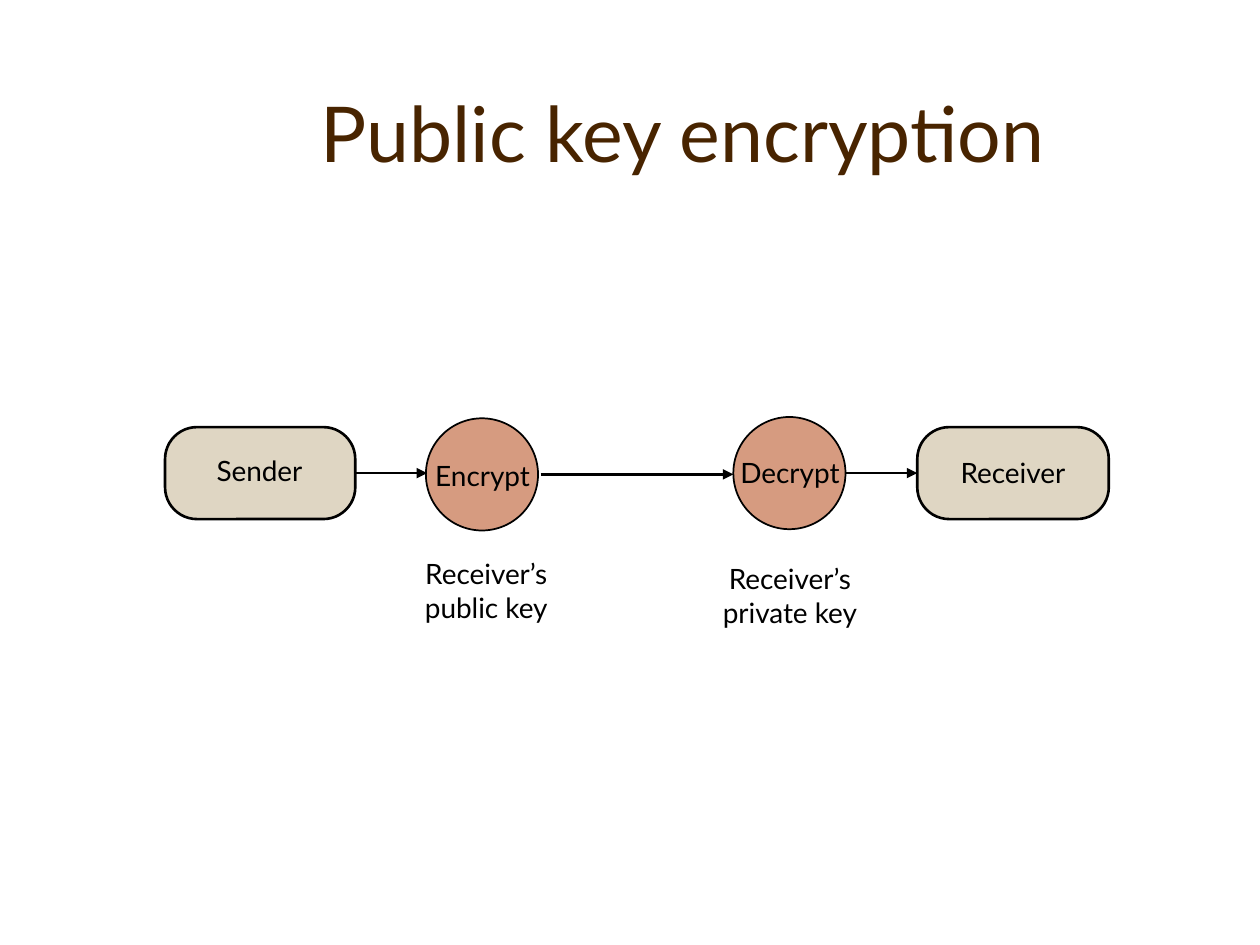
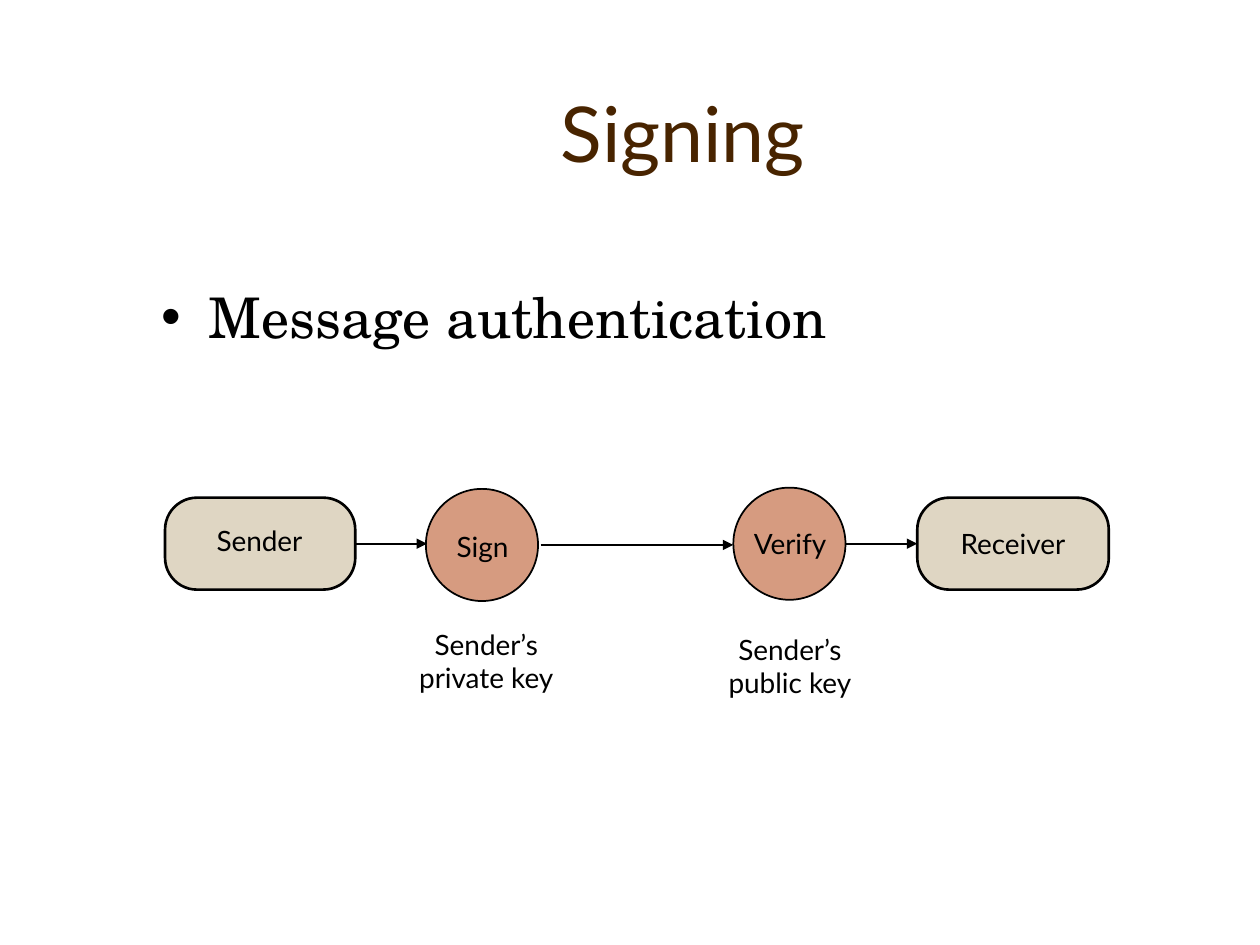
from pptx import Presentation
from pptx.dml.color import RGBColor
from pptx.enum.shapes import MSO_CONNECTOR as Link, MSO_SHAPE as Form
from pptx.enum.text import MSO_ANCHOR as Anchor, MSO_AUTO_SIZE as Fit, PP_ALIGN as Align
from pptx.oxml.ns import qn
from pptx.util import Inches, Pt
from lxml.etree import SubElement as Sub

BROWN, SAND, CLAY, BLACK = "482400", "DFD6C3", "D69B80", "000000"
SANS, SERIF = "Lato", "TeX Gyre Schola"


def color(code):
    return RGBColor.from_string(code)


def write(frame, text, size=16, font=SANS, ink=BLACK, align=Align.CENTER):
    """Fill a text frame, one paragraph per line of text."""
    for n, line in enumerate(text.split("\n")):
        para = frame.add_paragraph() if n else frame.paragraphs[0]
        para.alignment = align
        run = para.add_run()
        run.text = line
        run.font.size = Pt(size)
        run.font.name = font
        run.font.color.rgb = color(ink)


class Deck:
    def __init__(self):
        self.show = Presentation()
        self.show.slide_width, self.show.slide_height = Inches(10), Inches(7.5)
        self.slide = None

    def page(self, title):
        self.slide = self.show.slides.add_slide(self.show.slide_layouts[6])
        frame = self.box(1.17, 0.42, 8.5, 1.25)
        frame.vertical_anchor = Anchor.MIDDLE
        write(frame, title, size=44, ink=BROWN)

    def box(self, left, top, width, height):
        area = map(Inches, (left, top, width, height))
        frame = self.slide.shapes.add_textbox(*area).text_frame
        frame.word_wrap = True
        return frame

    def bullet(self, text):
        frame = self.box(1.18, 2.19, 8.5, 4.5)
        write(frame, text, size=32, font=SERIF, align=Align.LEFT)
        para = frame.paragraphs[0]
        para.space_before = Pt(8)
        props = para._p.get_or_add_pPr()
        props.set("marL", str(Inches(0.38)))
        props.set("indent", str(-Inches(0.38)))
        Sub(Sub(props, qn("a:buClr")), qn("a:srgbClr"), val=BLACK)
        Sub(props, qn("a:buFont"), typeface="Arial")
        Sub(props, qn("a:buChar"), char="•")

    def label(self, text, mid, top, width, height=0.37):
        """Text that grows evenly around its middle."""
        frame = self.box(mid - width / 2, top, width, height)
        frame.word_wrap = False
        frame.auto_size = Fit.SHAPE_TO_FIT_TEXT
        write(frame, text)

    def node(self, form, left, top, width, height, fill, weight):
        area = map(Inches, (left, top, width, height))
        shape = self.slide.shapes.add_shape(form, *area)
        shape.shadow.inherit = False
        shape.fill.solid()
        shape.fill.fore_color.rgb = color(fill)
        shape.line.color.rgb = color(BLACK)
        shape.line.width = Pt(weight)
        return shape

    def party(self, left, top, width):
        shape = self.node(Form.ROUNDED_RECTANGLE, left, top, width, 0.73, SAND, 1.5)
        shape.adjustments[0] = 0.347
        return shape

    def step(self, left, top):
        self.node(Form.OVAL, left, top, 0.89, 0.89, CLAY, 1)

    def arrow(self, start, end, y, weight=1):
        ends = map(Inches, (start, y, end, y))
        line = self.slide.shapes.add_connector(Link.STRAIGHT, *ends)
        line.line.color.rgb = color(BLACK)
        line.line.width = Pt(weight)
        Sub(line.line._get_or_add_ln(), qn("a:tailEnd"), type="triangle")
        Sub(line._element.spPr, qn("a:effectLst"))
        return line

    def flow(self, top, first, last):
        """Sender to receiver; each step is a name, its width, key and key width."""
        # Parties and steps
        sender = self.party(1.31, top, 1.51)
        target = self.party(7.28, top, 1.52)
        self.step(3.38, top - 0.07)
        self.step(5.82, top - 0.08)

        # Names and keys
        for (name, width, key, span), mid, key_mid, drop in (
                (last, 6.27, 6.27, 0), (first, 3.83, 3.86, 0.02)):
            self.label(name, mid, top + 0.18 + drop, width)
            self.label(key, key_mid, top + 1.02 - 2 * drop, span, 0.64)
        self.label("Sender", 2.06, top + 0.16, 0.93)
        self.label("Receiver", 8.04, top + 0.18, 1.08)

        # Arrows
        y = top + 0.73 / 2
        self.arrow(2.82, 3.39, y).begin_connect(sender, 3)
        self.arrow(4.29, 5.82, y + 0.01, 1.5)
        self.arrow(6.71, 7.28, y).end_connect(target, 1)


def main():
    deck = Deck()

    # Encryption
    deck.page("Public key encryption")
    deck.flow(3.39, ("Encrypt", 0.99, "Receiver’s\npublic key", 1.24),
              ("Decrypt", 1.01, "Receiver’s\nprivate key", 1.34))

    # Signing
    deck.page("Signing")
    deck.bullet("Message authentication")
    deck.flow(3.95, ("Sign", 0.65, "Sender’s\nprivate key", 1.34),
              ("Verify", 0.79, "Sender’s\npublic key", 1.24))

    deck.show.save("out.pptx")


if __name__ == "__main__":
    main()
